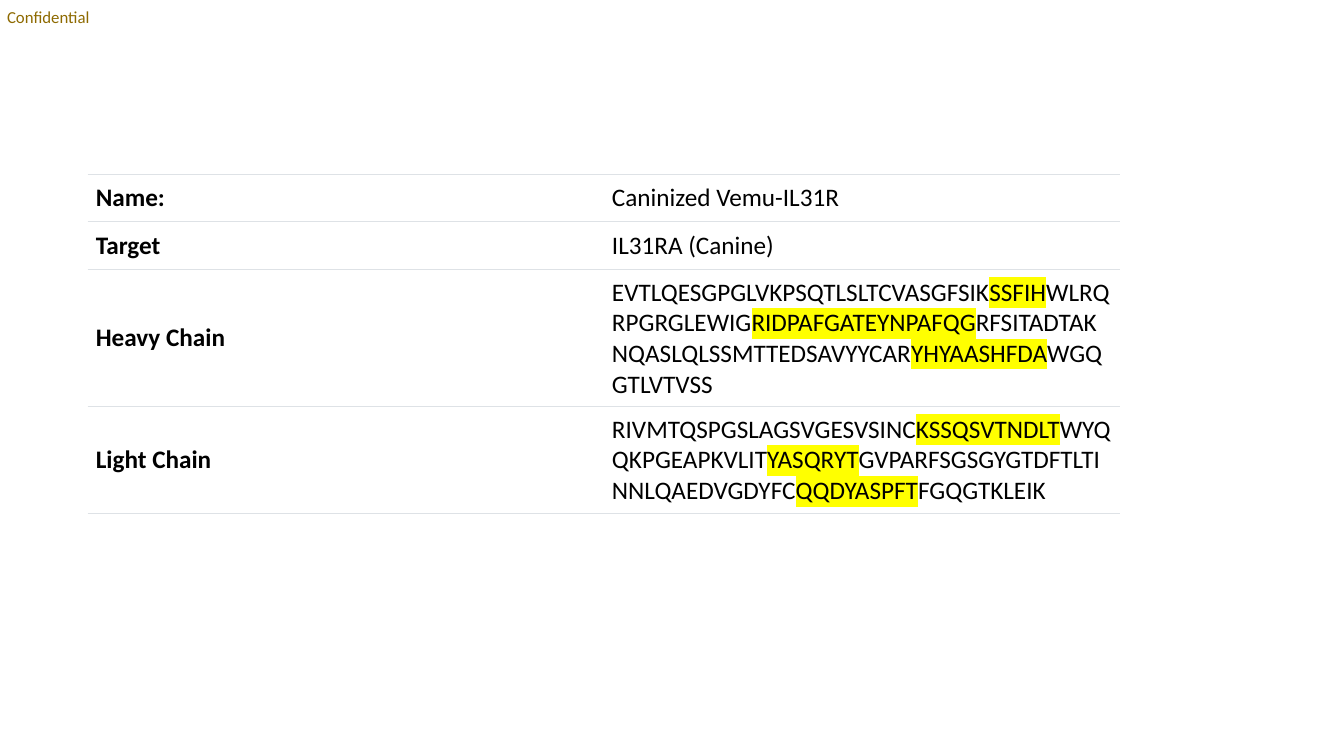
"""Build a slide with a table of antibody chains and their highlighted binding regions."""
from lxml.etree import SubElement
from pptx import Presentation
from pptx.dml.color import RGBColor
from pptx.enum.text import MSO_ANCHOR as Anchor, MSO_AUTO_SIZE as AutoSize
from pptx.oxml import parse_xml
from pptx.oxml.ns import nsdecls, qn
from pptx.util import Inches, Pt

BLACK = RGBColor(0x00, 0x00, 0x00)
WHITE = RGBColor(0xFF, 0xFF, 0xFF)
GOLD = RGBColor(0x8E, 0x6A, 0x00)
YELLOW = RGBColor(0xFF, 0xFF, 0x00)
RULE_GREY = RGBColor(0xDE, 0xE2, 0xE6)


def add_run(paragraph, text, size=18, color=BLACK, bold=False, highlight=None):
    run = paragraph.add_run()
    run.text = text
    font = run.font
    font.name, font.size, font.bold = "Calibri", Pt(size), bold
    font.color.rgb = color
    if highlight is not None:
        marker = parse_xml(
            f'<a:highlight {nsdecls("a")}><a:srgbClr val="{highlight}"/></a:highlight>')
        run._r.rPr.find(qn("a:solidFill")).addnext(marker)


deck = Presentation()
deck.slide_width, deck.slide_height = Inches(13.33), Inches(7.5)
slide = deck.slides.add_slide(deck.slide_layouts[6])

confidential = slide.shapes.add_textbox(
    Inches(0.07), Inches(0.07), Inches(0.86), Inches(0.2)).text_frame
confidential.margin_left = confidential.margin_right = 0
confidential.margin_top = confidential.margin_bottom = 0
confidential.word_wrap = False
confidential.auto_size = AutoSize.SHAPE_TO_FIT_TEXT
add_run(confidential.paragraphs[0], "Confidential", size=12, color=GOLD)

# Every second segment of a sequence is a highlighted binding region.
antibody = [
    ("Name:", 0.47, ["Caninized Vemu-IL31R"]),
    ("Target", 0.47, ["IL31RA (Canine)"]),
    ("Heavy Chain", 1.36, [
        "EVTLQESGPGLVKPSQTLSLTCVASGFSIK", "SSFIH", "WLRQRPGRGLEWIG",
        "RIDPAFGATEYNPAFQG", "RFSITADTAKNQASLQLSSMTTEDSAVYYCAR",
        "YHYAASHFDA", "WGQGTLVTVSS"]),
    ("Light Chain", 1.06, [
        "RIVMTQSPGSLAGSVGESVSINC", "KSSQSVTNDLT", "WYQQKPGEAPKVLIT",
        "YASQRYT", "GVPARFSGSGYGTDFTLTINNLQAEDVGDYFC",
        "QQDYASPFT", "FGQGTKLEIK"]),
]

table = slide.shapes.add_table(
    len(antibody), 2, Inches(0.87), Inches(1.73), Inches(10.24), Inches(3.36)).table
table.first_row = table.horz_banding = False

for row, (label, height, segments) in enumerate(antibody):
    table.rows[row].height = Inches(height)
    label_cell, value_cell = table.rows[row].cells
    add_run(label_cell.text_frame.paragraphs[0], label, bold=True)
    for index, segment in enumerate(segments):
        add_run(value_cell.text_frame.paragraphs[0], segment,
                highlight=YELLOW if index % 2 else None)

    for cell in (label_cell, value_cell):
        cell.vertical_anchor = Anchor.MIDDLE
        cell.margin_left = cell.margin_right = Inches(0.08)
        cell.margin_top = cell.margin_bottom = Inches(0.08)
        properties = cell._tc.get_or_add_tcPr()
        for side in ("a:lnL", "a:lnR"):
            SubElement(SubElement(properties, qn(side), w="0"), qn("a:noFill"))
        for side in ("a:lnT", "a:lnB"):
            border = SubElement(properties, qn(side), w=str(Pt(0.75)))
            paint = SubElement(border, qn("a:solidFill"))
            SubElement(paint, qn("a:srgbClr"), val=str(RULE_GREY))
        cell.fill.solid()
        cell.fill.fore_color.rgb = WHITE

deck.save("out.pptx")
